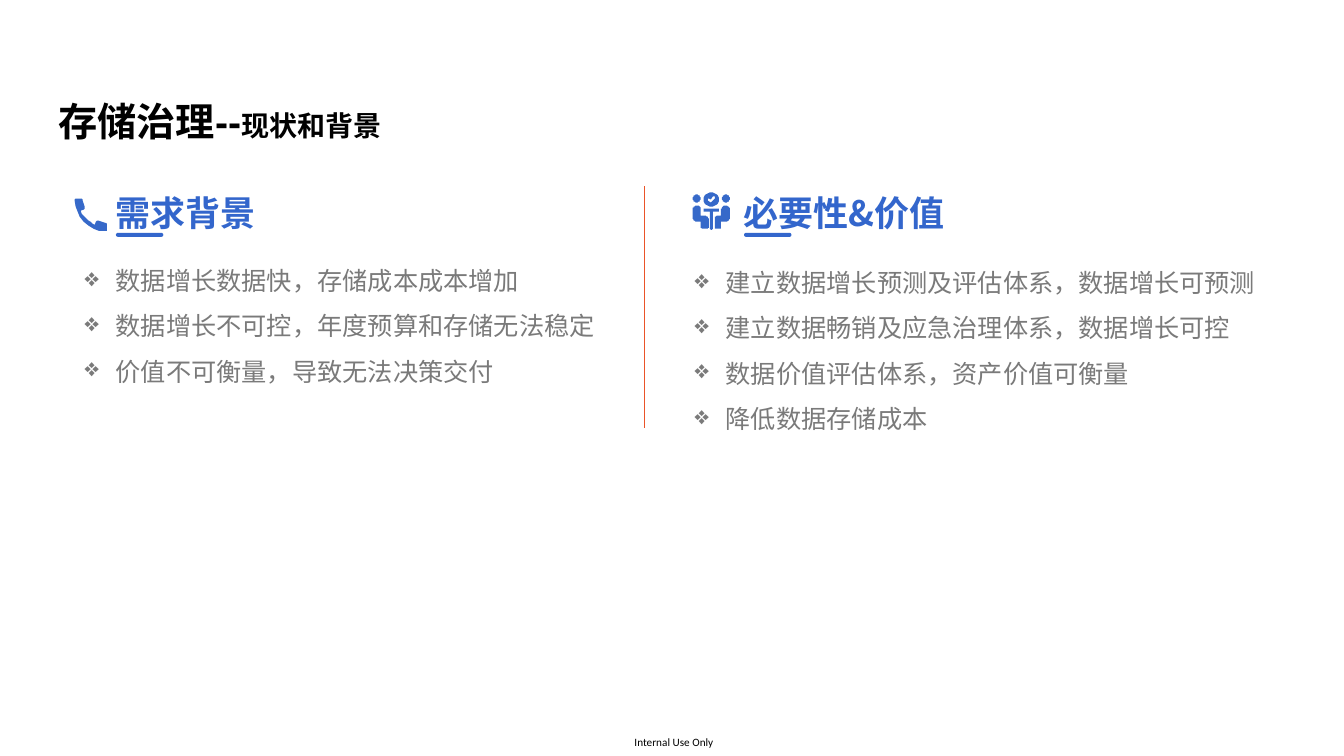
from dataclasses import dataclass
from math import cos, pi, sin

from lxml import etree
from pptx import Presentation
from pptx.dml.color import RGBColor
from pptx.enum.shapes import MSO_CONNECTOR, MSO_SHAPE
from pptx.enum.text import MSO_ANCHOR, PP_ALIGN
from pptx.oxml.ns import qn
from pptx.util import Inches, Pt

STRAIGHT = MSO_CONNECTOR.STRAIGHT
ROUNDED = MSO_SHAPE.ROUNDED_RECTANGLE
LEFT, CENTER = PP_ALIGN.LEFT, PP_ALIGN.CENTER
TOP, MIDDLE = MSO_ANCHOR.TOP, MSO_ANCHOR.MIDDLE
TITLE_ONLY = 5


@dataclass(frozen=True)
class Theme:
    """Colours, fonts and type sizes of the slide."""
    black: str = "000000"
    body: str = "7A7A7A"
    heading: str = "3366CC"
    icon: str = "3669C9"
    divider: str = "EA5429"
    title_font: str = "Arial"
    text_font: str = "Noto Sans CJK SC"
    footer_font: str = "Calibri"
    title_size: int = 28
    subtitle_size: int = 20
    heading_size: int = 25
    body_size: int = 18
    footer_size: int = 8


THEME = Theme()


@dataclass(frozen=True)
class Panel:
    """Wording, icon and inner offsets of one column."""
    heading: str
    points: tuple
    icon: tuple
    heading_at: float
    list_at: tuple
    list_width: float
    icon_top: float


def circle(x, y, radius, steps=24):
    """Return the corner points of a round outline."""
    angles = [2 * pi * step / steps for step in range(steps)]
    return [(x + radius * cos(a), y + radius * sin(a)) for a in angles]


def flatten(outline, steps=8):
    """Turn an outline with cubic segments into plain points."""
    points = [outline[0]]
    for segment in outline[1:]:
        if len(segment) == 2:
            points.append(segment)
            continue
        x0, y0 = points[-1]
        x1, y1, x2, y2, x3, y3 = segment
        for step in range(1, steps + 1):
            t = step / steps
            u = 1 - t
            weights = u ** 3, 3 * u * u * t, 3 * u * t * t, t ** 3
            points.append((sum(w * v for w, v in zip(weights, (x0, x1, x2, x3))),
                           sum(w * v for w, v in zip(weights, (y0, y1, y2, y3)))))
    return points


def mirror(outline, width):
    """Reflect an outline inside a given width."""
    return [(width - x, y) for x, y in flatten(outline)]


PHONE = ([(20, 26), (21, 23), (22, 22, 23, 22, 24, 22), (30, 23.5),
          (31.5, 24, 32.5, 25, 32.5, 26), (32.5, 30),
          (32.5, 31.5, 31.5, 32.5, 30, 32.5), (14, 31.5, 0.5, 18, 0, 2),
          (0, 1, 0.5, 0, 2, 0), (6, 0), (7, 0, 8, 0.5, 8.5, 1.5),
          (10, 8), (10.3, 9, 10, 10, 9, 11), (6, 12.5), (9, 18, 14, 23, 20, 26)],)
SEATED = [(4, 13), (6.5, 13, 8.5, 14.5, 8.5, 16.5), (8.5, 23), (12, 23),
          (14, 23, 15.5, 24.5, 15.5, 26), (15.5, 35), (15.5, 36, 15, 36.5, 14, 36.5),
          (10, 36.5), (9, 36.5, 8.5, 36, 8.5, 35), (8.5, 29), (4, 29),
          (2, 29, 0, 27, 0, 25), (0, 16.5), (0, 14.5, 2, 13, 4, 13)]
HEAD = circle(4, 6, 4)
TABLE = [(12, 16), (25, 16), (26.5, 16, 26.5, 19, 25, 19), (20, 19), (20, 35.5),
         (20, 37, 17, 37, 17, 35.5), (17, 19), (12, 19), (10.5, 19, 10.5, 16, 12, 16)]
CHECK = [(21.5, 4), (20.5, 4), (18, 7), (16.5, 6), (15, 6), (15, 7.5),
         (17.5, 10), (18.5, 10), (22.5, 5.5), (22.5, 4.5)]
MEETING = (SEATED, mirror(SEATED, 37), HEAD, mirror(HEAD, 37),
           TABLE, circle(18.5, 7, 7.3), CHECK)

BACKGROUND = Panel(
    "需求背景",
    ("数据增长数据快，存储成本成本增加",
     "数据增长不可控，年度预算和存储无法稳定",
     "价值不可衡量，导致无法决策交付"),
    PHONE, 0.31, (0, 0.63), 6.06, 0.12)
VALUE = Panel(
    "必要性&价值",
    ("建立数据增长预测及评估体系，数据增长可预测",
     "建立数据畅销及应急治理体系，数据增长可控",
     "数据价值评估体系，资产价值可衡量",
     "降低数据存储成本"),
    MEETING, 0.41, (-0.08, 0.65), 6.21, 0.06)


def add_run(paragraph, text, size, color, font, bold=False):
    """Append one formatted run."""
    run = paragraph.add_run()
    run.text = text
    run.font.size = Pt(size)
    run.font.bold = bold
    run.font.name = font
    run.font.color.rgb = RGBColor.from_string(color)
    east_asian = etree.SubElement(run.font._element, qn("a:ea"))
    east_asian.set("typeface", THEME.text_font)


def add_text_frame(slide, left, top, width, height, side=0.1, edge=0.05):
    """Add a wrapping text box and return its frame."""
    box = slide.shapes.add_textbox(*map(Inches, (left, top, width, height)))
    frame = box.text_frame
    frame.word_wrap = True
    frame.vertical_anchor = TOP
    frame.margin_left = frame.margin_right = Inches(side)
    frame.margin_top = frame.margin_bottom = Inches(edge)
    return frame


def paint(shape, color):
    """Give a shape a flat fill with no line or shadow."""
    shape.shadow.inherit = False
    shape.fill.solid()
    shape.fill.fore_color.rgb = RGBColor.from_string(color)
    shape.line.fill.background()


def add_icon(slide, outlines, left, top):
    """Draw outlines given in hundredths of an inch as one shape."""
    contours = [flatten(outline) for outline in outlines]
    builder = slide.shapes.build_freeform(*contours[0][0], scale=Inches(0.01))
    for index, contour in enumerate(contours):
        if index:
            builder.move_to(*contour[0])
        builder.add_line_segments(contour[1:], close=True)
    paint(builder.convert_to_shape(Inches(left), Inches(top)), THEME.icon)


def add_title(slide, left, top, width, height):
    """Place the title and its smaller second part."""
    title = slide.shapes.title
    title.left, title.top, title.width, title.height = map(
        Inches, (left, top, width, height))
    frame = title.text_frame
    frame.vertical_anchor = MIDDLE
    frame.margin_left = frame.margin_right = Inches(0.06)
    frame.margin_top = frame.margin_bottom = Inches(0.06)
    paragraph = frame.paragraphs[0]
    paragraph.alignment = LEFT
    for text, size in (("存储治理--", THEME.title_size),
                       ("现状和背景", THEME.subtitle_size)):
        add_run(paragraph, text, size, THEME.black, THEME.title_font, True)


def add_points(slide, points, left, top, width):
    """Place a bulleted list."""
    frame = add_text_frame(slide, left, top, width, 0.45 * len(points), edge=0)
    for index, point in enumerate(points):
        paragraph = frame.add_paragraph() if index else frame.paragraphs[0]
        paragraph.line_spacing = 1.5
        properties = paragraph._p.get_or_add_pPr()
        properties.set("marL", str(Inches(0.31)))
        properties.set("indent", str(-Inches(0.31)))
        etree.SubElement(properties, qn("a:buChar")).set("char", "❖")
        add_run(paragraph, point, THEME.body_size, THEME.body, THEME.text_font)


def add_panel(slide, panel, left, top):
    """Place icon, underlined heading and list of one column."""
    add_icon(slide, panel.icon, left, top + panel.icon_top)
    heading_left = left + panel.heading_at
    heading = add_text_frame(slide, heading_left, top, 3, 0.52)
    add_run(heading.paragraphs[0], panel.heading, THEME.heading_size,
            THEME.heading, THEME.text_font, True)
    underline = slide.shapes.add_shape(ROUNDED, *map(
        Inches, (heading_left + 0.1, top + 0.46, 0.47, 0.04)))
    underline.adjustments[0] = 0.5
    paint(underline, THEME.heading)
    list_left, list_top = panel.list_at
    add_points(slide, panel.points, left + list_left, top + list_top, panel.list_width)


def add_divider(slide, x, top, height):
    """Draw the thin vertical rule between the columns."""
    divider = slide.shapes.add_connector(STRAIGHT, *map(
        Inches, (x, top, x, top + height)))
    divider.line.color.rgb = RGBColor.from_string(THEME.divider)
    divider.line.width = Pt(0.5)
    etree.SubElement(divider._element.spPr, qn("a:effectLst"))


def add_footer(slide, left, top, width, height):
    """Place the confidentiality mark at the foot."""
    frame = add_text_frame(slide, left, top, width, height, side=0, edge=0)
    frame.word_wrap = False
    paragraph = frame.paragraphs[0]
    paragraph.alignment = CENTER
    add_run(paragraph, "Internal Use Only", THEME.footer_size,
            THEME.black, THEME.footer_font)


def main():
    """Build the slide and save it."""
    deck = Presentation()
    deck.slide_width, deck.slide_height = Inches(13.33), Inches(7.5)
    slide = deck.slides.add_slide(deck.slide_layouts[TITLE_ONLY])
    add_title(slide, 0.52, 0.88, 5.16, 0.63)
    add_panel(slide, BACKGROUND, 0.74, 1.85)
    add_divider(slide, 6.39, 1.85, 2.4)
    add_panel(slide, VALUE, 6.87, 1.85)
    add_footer(slide, 6.28, 7.3, 0.81, 0.13)
    deck.save("out.pptx")


if __name__ == "__main__":
    main()
